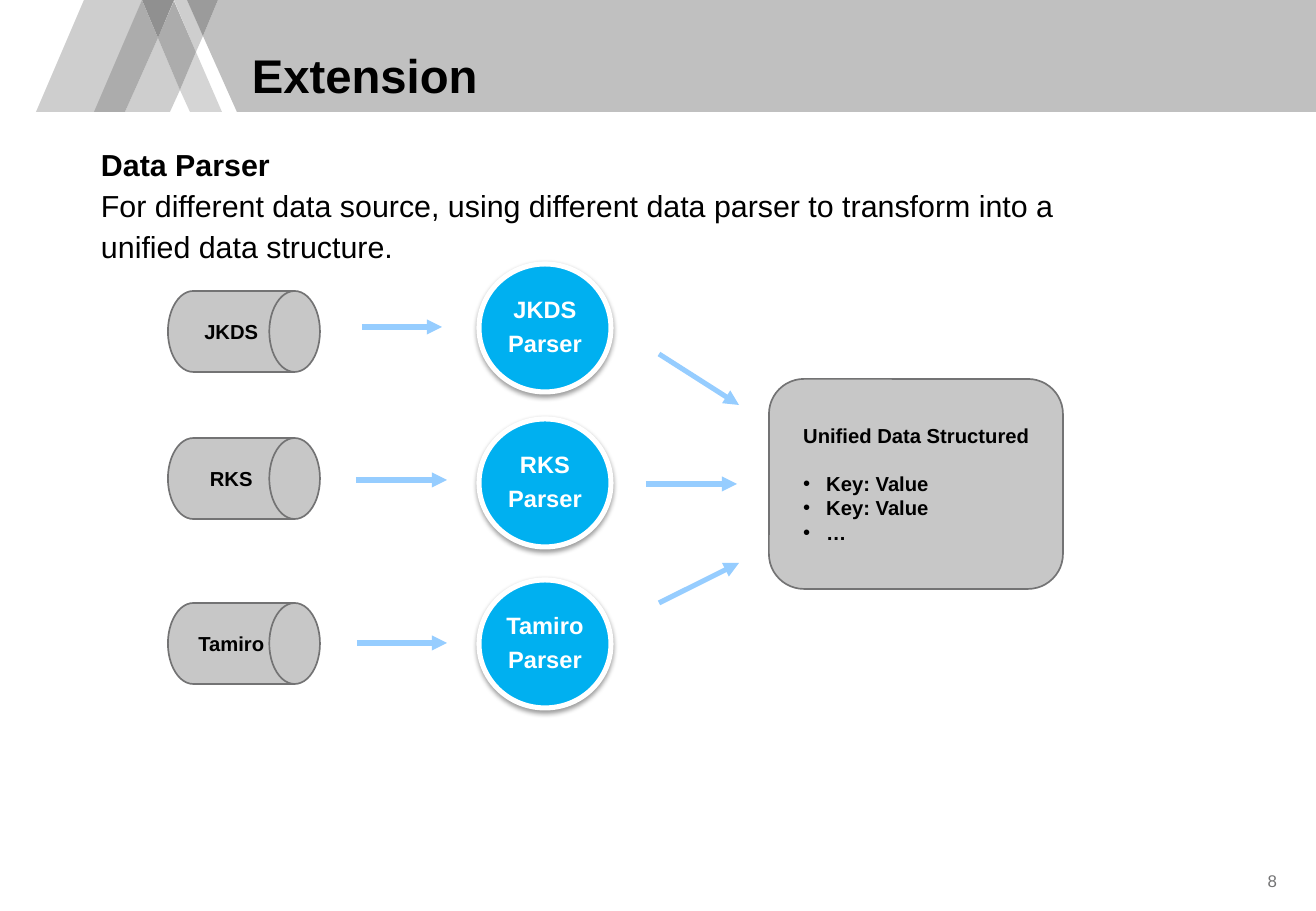
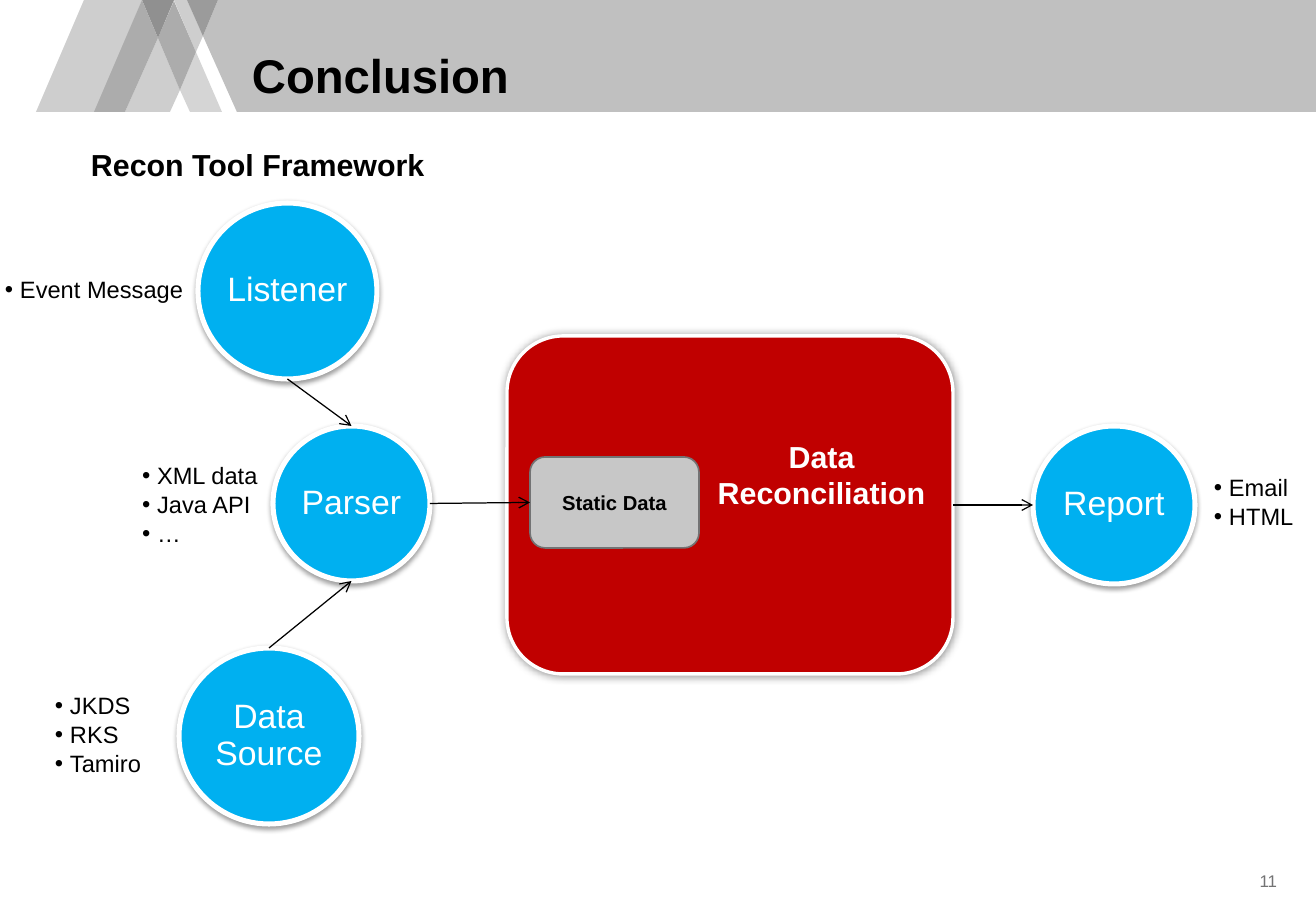
from dataclasses import dataclass
from lxml.etree import SubElement as Sub
from pptx import Presentation
from pptx.dml.color import RGBColor as Rgb
from pptx.enum.shapes import MSO_CONNECTOR as Link, MSO_SHAPE as Form
from pptx.enum.text import MSO_ANCHOR as Anchor, MSO_AUTO_SIZE as Auto, PP_ALIGN as Align
from pptx.oxml.ns import qn
from pptx.util import Pt

SCALE = 914400 / 121.5


def px(n):
    """Turn pixels into EMU."""
    return round(n * SCALE)


@dataclass(frozen=True)
class Theme:
    """Colours, font and type sizes of the deck."""
    font: str = "Arial"
    ink: str = "000000"
    white: str = "FFFFFF"
    blue: str = "00B0F0"
    sky: str = "96CDFF"
    red: str = "C00000"
    gray: str = "C7C7C7"
    edge: str = "737374"
    title: int = 28
    large: int = 20
    body: int = 18
    note: int = 14
    label: int = 12
    page: int = 10


@dataclass(frozen=True)
class Box:
    """A pixel rectangle with edge points."""
    x: int
    y: int
    w: int
    h: int

    def sub(self, x, y, w, h):
        """Give a box placed relative to this one."""
        return Box(self.x + x, self.y + y, w, h)

    def emu(self):
        """Give left, top, width and height in EMU."""
        return [px(n) for n in (self.x, self.y, self.w, self.h)]

    def point(self, across, down):
        """Give the point at two fractions of the box."""
        return self.x + self.w * across, self.y + self.h * down


T = Theme()
PAGE = Box(0, 0, 1316, 911)
TOP, LEFT, RIGHT, BOTTOM = (0.5, 0), (0, 0.5), (1, 0.5), (0.5, 1)
FEEDS = ("JKDS", "RKS", "Tamiro")
BAND = (
    ("C0C0C0", ((203, 36), (237, 112), (1316, 112), (1316, 0), (218, 0))),
    ("D5D5D5", ((196, 52), (180, 90), (190, 112), (222, 112))),
    ("CECECE", ((187, 0), (174, 0), (196, 52), (203, 36))),
    ("CECECE", ((158, 38), (125, 112), (170, 112), (180, 90))),
    ("CECECE", ((142, 0), (84, 0), (36, 112), (95, 112))),
    ("9B9B9B", ((218, 0), (187, 0), (203, 36))),
    ("ACACAC", ((174, 1), (158, 38), (180, 90), (196, 52))),
    ("ACACAC", ((142, 0), (94, 112), (125, 112), (158, 38))),
    ("909090", ((174, 0), (142, 0), (158, 38))),
)


def write(frame, *lines, size=T.label, color=T.ink, bold=False, align=Align.LEFT,
          anchor=Anchor.MIDDLE, inset=(0, 0), shift=0, pitch=1.0, after=0, bullet=0,
          head=None, gap=0):
    """Fill a text frame, with an optional bold head above the lines."""
    frame.word_wrap, frame.auto_size = True, Auto.NONE
    frame.vertical_anchor = anchor
    frame.margin_left, frame.margin_right = px(inset[0] + shift), px(inset[0])
    frame.margin_top = frame.margin_bottom = px(inset[1])
    rows = [(line, bold, after, bullet) for line in lines]
    if head:
        rows.insert(0, (head, True, gap, 0))
    for i, (line, strong, space, dent) in enumerate(rows):
        para = frame.add_paragraph() if i else frame.paragraphs[0]
        para.alignment, para.line_spacing = align, pitch
        para.space_before, para.space_after = Pt(0), Pt(space)
        props = para._p.get_or_add_pPr()
        props.set("marL", str(px(dent)))
        props.set("indent", str(-px(dent)))
        if dent:
            Sub(props, qn("a:buFont"), typeface=T.font)
            Sub(props, qn("a:buChar"), char="•")
        else:
            Sub(props, qn("a:buNone"))
        run = para.add_run()
        run.text = line
        run.font.name, run.font.size, run.font.bold = T.font, Pt(size), strong
        run.font.color.rgb = Rgb.from_string(color)


def paint(shape, fill, edge=None, width=1):
    """Set fill and outline and drop the inherited shadow."""
    shape.shadow.inherit = False
    shape.fill.solid()
    shape.fill.fore_color.rgb = Rgb.from_string(fill)
    if edge:
        shape.line.color.rgb = Rgb.from_string(edge)
        shape.line.width = Pt(width)
    else:
        shape.line.fill.background()
    return shape


def shade(shape, blur, dist, alpha):
    """Give a shape a soft black shadow."""
    effects = shape.element.spPr.find(qn("a:effectLst"))
    cast = Sub(effects, qn("a:outerShdw"), blurRad=str(Pt(blur)), dist=str(Pt(dist)),
               dir="5400000", rotWithShape="0")
    tint = Sub(cast, qn("a:srgbClr"), val=T.ink)
    Sub(tint, qn("a:alpha"), val=str(alpha * 1000))


def block(slide, form, box, *lines, **style):
    """Draw a gray outlined shape with bold text."""
    shape = paint(slide.shapes.add_shape(form, *box.emu()), T.gray, T.edge)
    write(shape.text_frame, *lines, bold=True, inset=(5, 5), **style)


def ball(slide, box, *lines, **style):
    """Draw a blue disc with white text."""
    shape = paint(slide.shapes.add_shape(Form.OVAL, *box.emu()), T.blue, T.white, 3)
    shade(shape, 3.1, 1.6, 38)
    write(shape.text_frame, *lines, color=T.white, align=Align.CENTER,
          pitch=0.9, **style)


def label(slide, box, *lines, **style):
    """Place a text box."""
    write(slide.shapes.add_textbox(*box.emu()).text_frame, *lines, **style)


def arrow(slide, start, end, color=T.ink, width=0.75, tip="arrow"):
    """Draw an arrow between two points."""
    line = slide.shapes.add_connector(Link.STRAIGHT, *[px(n) for n in (*start, *end)])
    line.line.color.rgb = Rgb.from_string(color)
    line.line.width = Pt(width)
    props = line.element.spPr
    Sub(props.find(qn("a:ln")), qn("a:tailEnd"), type=tip)
    Sub(props, qn("a:effectLst"))


def band(slide, layout):
    """Draw the header band and move it to the layout."""
    for color, (first, *rest) in BAND:
        pen = slide.shapes.build_freeform(*first, scale=SCALE)
        pen.add_line_segments(rest)
        layout.shapes.element.append(paint(pen.convert_to_shape(), color).element)


def frame(slide, title, page, box, *lines, head):
    """Fill title, body and page number."""
    name, body = slide.placeholders
    for part, area in ((name, PAGE.sub(252, 7, 842, 96)), (body, box)):
        part.left, part.top, part.width, part.height = area.emu()
    write(name.text_frame, title, size=T.title, bold=True, anchor=Anchor.BOTTOM, pitch=1.2)
    write(body.text_frame, *lines, head=head, size=T.body, anchor=Anchor.TOP, pitch=1.13)
    label(slide, PAGE.sub(1174, 866, 105, 30), page, size=T.page, color=T.edge,
          align=Align.RIGHT, inset=(2, 0))


def lanes(slide, box):
    """Draw sources, their parsers and the unified structure."""
    rows = (
        (31, 4, ((194, 67), (274, 67)), ((491, 94), (571, 145))),
        (178, 159, ((188, 220), (279, 220)), ((478, 224), (569, 224))),
        (343, 320, ((189, 383), (279, 383)), ((491, 343), (571, 303))),
    )
    for name, (drum, disc, *links) in zip(FEEDS, rows):
        block(slide, Form.FLOWCHART_DIRECT_ACCESS_STORAGE, box.sub(0, drum, 152, 81), name,
              align=Align.CENTER)
        ball(slide, box.sub(311, disc, 132, 128), name, "Parser", size=T.note,
             bold=True, after=5)
        for ends in links:
            start, end = [(box.x + x, box.y + y) for x, y in ends]
            arrow(slide, start, end, T.sky, 3, "triangle")
    block(slide, Form.ROUNDED_RECTANGLE, box.sub(601, 119, 294, 210), "Key: Value",
          "Key: Value", "…", head="Unified Data Structured", gap=14, bullet=23, shift=19)


def core(slide, box):
    """Draw the reconciliation block and give its inner box."""
    shape = paint(slide.shapes.add_shape(Form.ROUNDED_RECTANGLE, *box.emu()),
                  T.red, T.white, 2)
    shade(shape, 5, 0, 40)
    inner = box.sub(23, 121, 169, 91)
    block(slide, Form.ROUNDED_RECTANGLE, inner, "Static Data", align=Align.CENTER)
    label(slide, box.sub(196, 96, 237, 86), "Data Reconciliation", size=T.body,
          color=T.white, bold=True, align=Align.CENTER, anchor=Anchor.TOP, inset=(12, 6))
    return inner


def tool(slide, box):
    """Draw the framework with its notes and arrows."""
    listen = box.sub(193, 0, 179, 176)
    parse = box.sub(268, 223, 157, 155)
    report = box.sub(1028, 223, 162, 158)
    source = box.sub(174, 445, 180, 176)
    steps = (
        ("Listener", listen, (0, 0, 272, 176), ("Event Message",)),
        ("Parser", parse, (137, 215, 262, 175), ("XML data", "Java API", "…")),
        ("Report", report, (1209, 221, 102, 158), ("Email", "HTML")),
        ("Data Source", source, (50, 445, 272, 176), FEEDS),
    )
    for name, disc, side, notes in steps:
        ball(slide, disc, name, size=T.large)
        label(slide, box.sub(*side), *notes, size=T.note, pitch=0.9, after=2, bullet=15)
    hub = box.sub(502, 133, 446, 338)
    inner = core(slide, hub)
    arrow(slide, listen.point(*BOTTOM), parse.point(*TOP))
    arrow(slide, parse.point(*RIGHT), inner.point(*LEFT))
    arrow(slide, hub.point(*RIGHT), report.point(*LEFT))
    arrow(slide, source.point(*TOP), parse.point(*BOTTOM))


def main():
    """Build and save the deck."""
    deck = Presentation()
    deck.slide_width, deck.slide_height = px(PAGE.w), px(PAGE.h)
    layout = deck.slide_layouts[1]
    first, last = [deck.slides.add_slide(layout) for _ in range(2)]
    band(first, layout)
    frame(first, "Extension", "8", PAGE.sub(101, 141, 993, 77),
          "For different data source, using different data parser to transform into a "
          "unified data structure.", head="Data Parser")
    lanes(first, PAGE.sub(168, 260, 895, 450))
    frame(last, "Conclusion", "11", PAGE.sub(91, 141, 1225, 77), head="Recon Tool Framework")
    tool(last, PAGE.sub(5, 203, 1311, 621))
    deck.save("out.pptx")


main()
